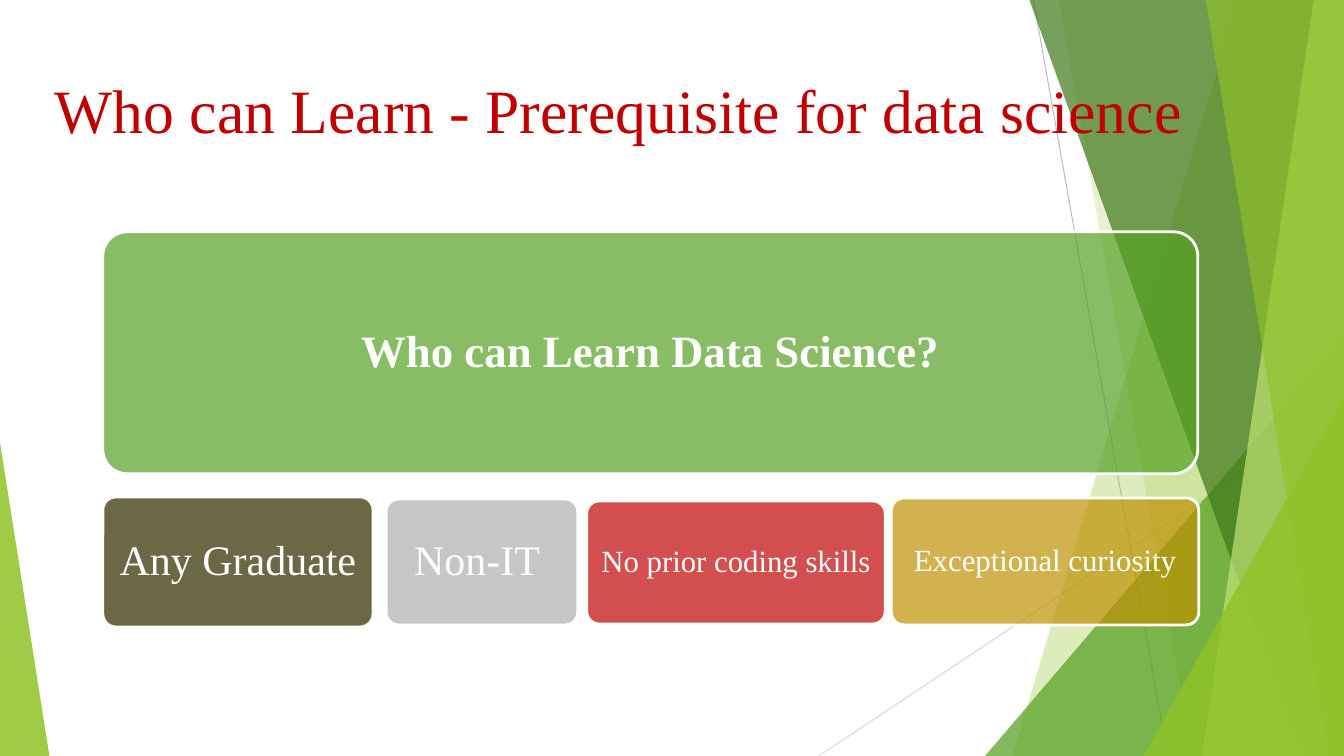
from dataclasses import dataclass

from lxml import etree
from pptx import Presentation
from pptx.dml.color import RGBColor
from pptx.enum import shapes, text
from pptx.oxml import ns
from pptx.util import Inches, Pt

WIDTH, HEIGHT = 13.33, 7.5
FONT = "Times New Roman"
WHITE = RGBColor(0xFF, 0xFF, 0xFF)
CRIMSON = RGBColor(0xC0, 0x00, 0x00)
LIME = RGBColor(0x90, 0xC2, 0x26)
PALE_LIME = RGBColor(0xC0, 0xE4, 0x74)
GREEN = RGBColor(0x54, 0xA0, 0x21)
DARK_GREEN = RGBColor(0x3F, 0x78, 0x19)
OLIVE = RGBColor(0x6C, 0x67, 0x45)
WARM_GRAY = RGBColor(0xAE, 0xAB, 0xAB)
GOLD = RGBColor(0xBF, 0x90, 0x00)
LINE_GRAY = RGBColor(0xBF, 0xBF, 0xBF)
LIGHT_GRAY = RGBColor(0xD9, 0xD9, 0xD9)


@dataclass
class Ray:
    start: tuple[float, float]
    end: tuple[float, float]
    color: RGBColor


@dataclass
class Band:
    """Full-height band from a slanted left edge to the right slide edge."""
    top_x: float
    bottom_x: float
    color: RGBColor
    opacity: int


@dataclass
class Wedge:
    """Right triangle standing on the bottom slide edge."""
    left: float
    top: float
    width: float
    apex: float
    color: RGBColor
    opacity: int


@dataclass
class Card:
    label: str
    box: tuple[float, float, float, float]
    color: RGBColor
    opacity: int
    size: int
    bold: bool = False


RAYS = [
    Ray((10.25, 0), (11.58, HEIGHT), LINE_GRAY),
    Ray((WIDTH, 4.03), (8.12, HEIGHT), LIGHT_GRAY),
]
FACETS = [
    Band(12.28, 10.04, LIME, 30),
    Band(10.5, 11.83, LIME, 20),
    Wedge(9.77, 3.33, 3.56, 1, GREEN, 72),
    Band(10.21, 12.91, DARK_GREEN, 70),
    Band(13.03, 11.92, PALE_LIME, 70),
    Band(11.96, 13.18, LIME, 65),
    Wedge(11.34, 3.93, 1.99, 1, LIME, 80),
    Wedge(0, 4.39, 0.49, 0, LIME, 85),
]
CARDS = [
    Card("Who can Learn Data Science?", (1.02, 2.3, 10.86, 2.4), GREEN, 69, 32, True),
    Card("Any Graduate", (1.02, 4.93, 2.68, 1.29), OLIVE, 100, 30),
    Card("Non-IT ", (3.83, 4.95, 1.9, 1.25), WARM_GRAY, 69, 30),
    Card("No prior coding skills", (5.82, 4.97, 2.96, 1.22), CRIMSON, 69, 22),
    Card("Exceptional curiosity", (8.84, 4.94, 3.05, 1.26), GOLD, 69, 22),
]


def paint(shape, color: RGBColor, opacity: int) -> None:
    shape.shadow.inherit = False
    shape.fill.solid()
    shape.fill.fore_color.rgb = color
    if opacity < 100:
        color_element = shape._element.spPr.find(f".//{ns.qn('a:srgbClr')}")
        alpha = etree.SubElement(color_element, ns.qn("a:alpha"))
        alpha.set("val", str(opacity * 1000))


def write(shape, label: str, size: int, color: RGBColor, bold: bool = False) -> None:
    frame = shape.text_frame
    frame.word_wrap = True
    frame.vertical_anchor = text.MSO_ANCHOR.MIDDLE
    paragraph = frame.paragraphs[0]
    paragraph.alignment = text.PP_ALIGN.CENTER
    paragraph.line_spacing = 0.9
    run = paragraph.add_run()
    run.text = label
    run.font.name = FONT
    run.font.size = Pt(size)
    run.font.bold = bold
    run.font.color.rgb = color


def add_ray(slide, ray: Ray) -> None:
    connector = slide.shapes.add_connector(
        shapes.MSO_CONNECTOR.STRAIGHT, *map(Inches, ray.start + ray.end))
    connector.line.color.rgb = ray.color
    connector.line.width = Pt(0.75)
    etree.SubElement(connector._element.spPr, ns.qn("a:effectLst"))


def add_facet(slide, facet: Band | Wedge) -> None:
    if isinstance(facet, Band):
        builder = slide.shapes.build_freeform(Inches(facet.top_x), 0)
        corners = [(WIDTH, 0), (WIDTH, HEIGHT), (facet.bottom_x, HEIGHT)]
        builder.add_line_segments([(Inches(x), Inches(y)) for x, y in corners])
        shape = builder.convert_to_shape()
    else:
        shape = slide.shapes.add_shape(
            shapes.MSO_SHAPE.ISOSCELES_TRIANGLE, Inches(facet.left), Inches(facet.top),
            Inches(facet.width), Inches(HEIGHT - facet.top))
        shape.adjustments[0] = facet.apex
    paint(shape, facet.color, facet.opacity)
    shape.line.fill.background()


def add_card(slide, card: Card) -> None:
    shape = slide.shapes.add_shape(
        shapes.MSO_SHAPE.ROUNDED_RECTANGLE, *map(Inches, card.box))
    shape.adjustments[0] = 0.1
    paint(shape, card.color, card.opacity)
    shape.line.color.rgb = WHITE
    shape.line.width = Pt(2)
    frame = shape.text_frame
    frame.margin_left = frame.margin_right = Inches(0.09)
    write(shape, card.label, card.size, WHITE, card.bold)


def main() -> None:
    presentation = Presentation()
    presentation.slide_width = Inches(WIDTH)
    presentation.slide_height = Inches(HEIGHT)
    slide = presentation.slides.add_slide(presentation.slide_layouts[6])

    # Background facets
    for ray in RAYS:
        add_ray(slide, ray)
    for facet in FACETS:
        add_facet(slide, facet)

    # Title
    title = slide.shapes.add_textbox(*map(Inches, (0.39, 0.33, 11.5, 1.59)))
    write(title, "Who can Learn - Prerequisite for data science", 44, CRIMSON)

    # Question and answer cards
    for card in CARDS:
        add_card(slide, card)

    presentation.save("out.pptx")


if __name__ == "__main__":
    main()
